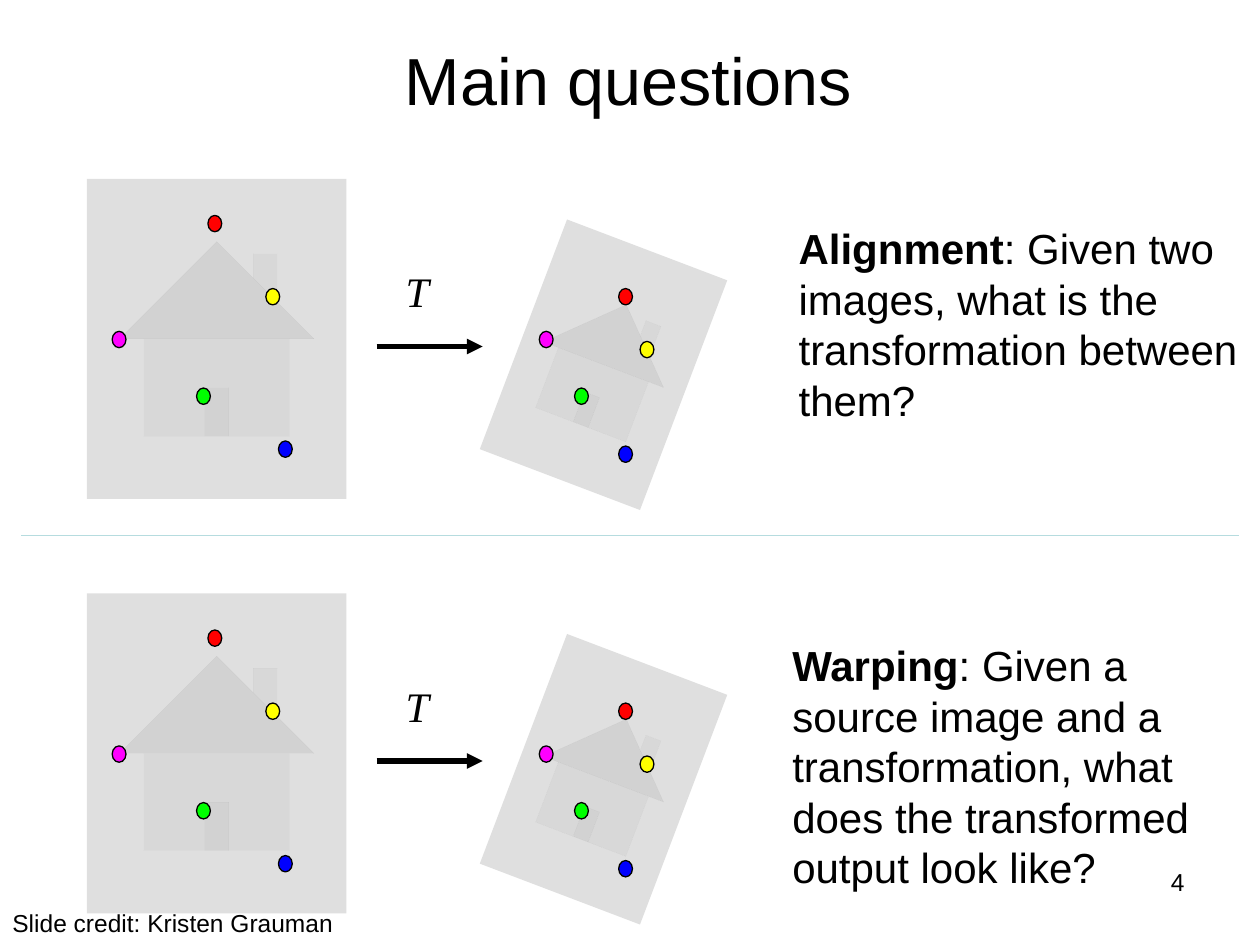
import pptx
import pptx.util
import pptx.dml.color
import pptx.enum.shapes
import pptx.enum.text
import pptx.oxml
import pptx.oxml.ns
import lxml.etree

Inches, Pt = pptx.util.Inches, pptx.util.Pt
SHAPE = pptx.enum.shapes.MSO_SHAPE
ALIGN = pptx.enum.text.PP_ALIGN
FIT = pptx.enum.text.MSO_AUTO_SIZE
qn = pptx.oxml.ns.qn

BLACK = "000000"
DOTS = ["FF0000", "0000FF", "00FF00", "FF00FF", "FFFF00"]
# Dot places relative to the house they lie on
SOURCE = [(0.96, 0.29), (1.52, 2.08), (0.87, 1.66), (0.2, 1.21), (1.42, 0.87)]
RESULT = [(0.8, 0.37), (0.8, 1.62), (0.45, 1.16), (0.17, 0.71), (0.97, 0.79)]


def color(code):
    return pptx.dml.color.RGBColor.from_string(code)


def style(font, size, name="Arial"):
    font.size, font.name = Pt(size), name
    font.color.rgb = color(BLACK)


def add_text(slide, box, runs, size, name="Arial", wrap=True, align=ALIGN.LEFT):
    """Add one paragraph; runs are (text, bold) pairs."""
    shape = slide.shapes.add_textbox(*map(Inches, box))
    frame = shape.text_frame
    frame.word_wrap = wrap
    frame.auto_size = FIT.NONE
    para = frame.paragraphs[0]
    para.alignment = align
    style(para.font, size, name)
    for text, bold in runs:
        run = para.add_run()
        run.text = text
        if bold:
            run.font.bold = True
    return para


def add_line(slide, x, y, width, code, weight, arrow=False):
    line = slide.shapes.add_connector(
        pptx.enum.shapes.MSO_CONNECTOR.STRAIGHT,
        Inches(x), Inches(y), Inches(x + width), Inches(y))
    line.line.color.rgb = color(code)
    line.line.width = Pt(weight)
    if arrow:
        lxml.etree.SubElement(line.line._get_or_add_ln(), qn("a:tailEnd"),
                              type="triangle")
    lxml.etree.SubElement(line._element.spPr, qn("a:effectLst"))


def add_house(shapes, box, dots, turn=0):
    """Draw a pale house image with its five matching points."""
    x, y = box[:2]
    house = shapes.add_shape(SHAPE.ACTION_BUTTON_HOME, *map(Inches, box))
    house.rotation = turn
    house.shadow.inherit = False
    house.fill.solid()
    house.fill.fore_color.rgb = color("808080")
    tint = house._element.spPr.find(".//" + qn("a:srgbClr"))
    lxml.etree.SubElement(tint, qn("a:alpha"), val="25000")
    house.line.fill.background()

    for (dx, dy), code in zip(dots, DOTS):
        dot = shapes.add_shape(SHAPE.OVAL, Inches(x + dx), Inches(y + dy),
                               Inches(0.11), Inches(0.13))
        dot.shadow.inherit = False
        dot.fill.solid()
        dot.fill.fore_color.rgb = color(code)
        dot.line.color.rgb = color(BLACK)
        dot.line.width = Pt(0.75)


def add_row(slide, x, y, term, query, box):
    """Draw source house, arrow T, turned house and the question beside them."""
    add_line(slide, x + 2.3, y + 1.33, 0.84, BLACK, 3, arrow=True)
    add_house(slide.shapes, (x, y, 2.06, 2.54), SOURCE)
    group = slide.shapes.add_group_shape()
    add_house(group.shapes, (x + 3.42, y + 0.5, 1.36, 1.95), RESULT, 20.8)
    label = add_text(slide, (x + 2.43, y + 0.64, 0.39, 0.5), [("T", False)],
                     24, "Times New Roman", wrap=False)
    label.font.italic = True
    left, top, width, height = box
    add_text(slide, (x + left, y + top, width, height),
             [(term, True), (query, False)], 24)


def add_title(slide, box, text):
    title = slide.shapes.title
    title.left, title.top, title.width, title.height = map(Inches, box)
    frame = title.text_frame
    frame.text = text
    frame.auto_size = FIT.NONE
    frame.vertical_anchor = pptx.enum.text.MSO_ANCHOR.MIDDLE
    para = frame.paragraphs[0]
    para.alignment = ALIGN.CENTER
    style(para.font, 38)


def add_footer(slide, y):
    add_text(slide, (0, y, 3.08, 0.34),
             [("Slide credit: Kristen Grauman", False)], 14)
    add_text(slide, (7.17, y - 0.33, 2.33, 0.52), [("4", False)], 14,
             align=ALIGN.RIGHT)


def main():
    deck = pptx.Presentation()
    deck.slide_width, deck.slide_height = Inches(10), Inches(7.5)
    slide = deck.slides.add_slide(deck.slide_layouts[5])

    add_title(slide, (0.49, 0, 9, 1.25), "Main questions")
    # Two questions, one above and one below the divider
    add_row(slide, 0.69, 1.42, "Alignment",
            ": Given two images, what is the transformation between them?",
            (5.55, 0.3, 3.76, 1.72))
    add_row(slide, 0.69, 4.71, "Warping",
            ": Given a source image and a transformation, what does the "
            "transformed output look like?",
            (5.5, 0.32, 3.6, 2.12))
    add_line(slide, 0.17, 4.25, 9.66, "B6DCDF", 0.75)
    add_footer(slide, 7.16)

    deck.save("out.pptx")


if __name__ == "__main__":
    main()
